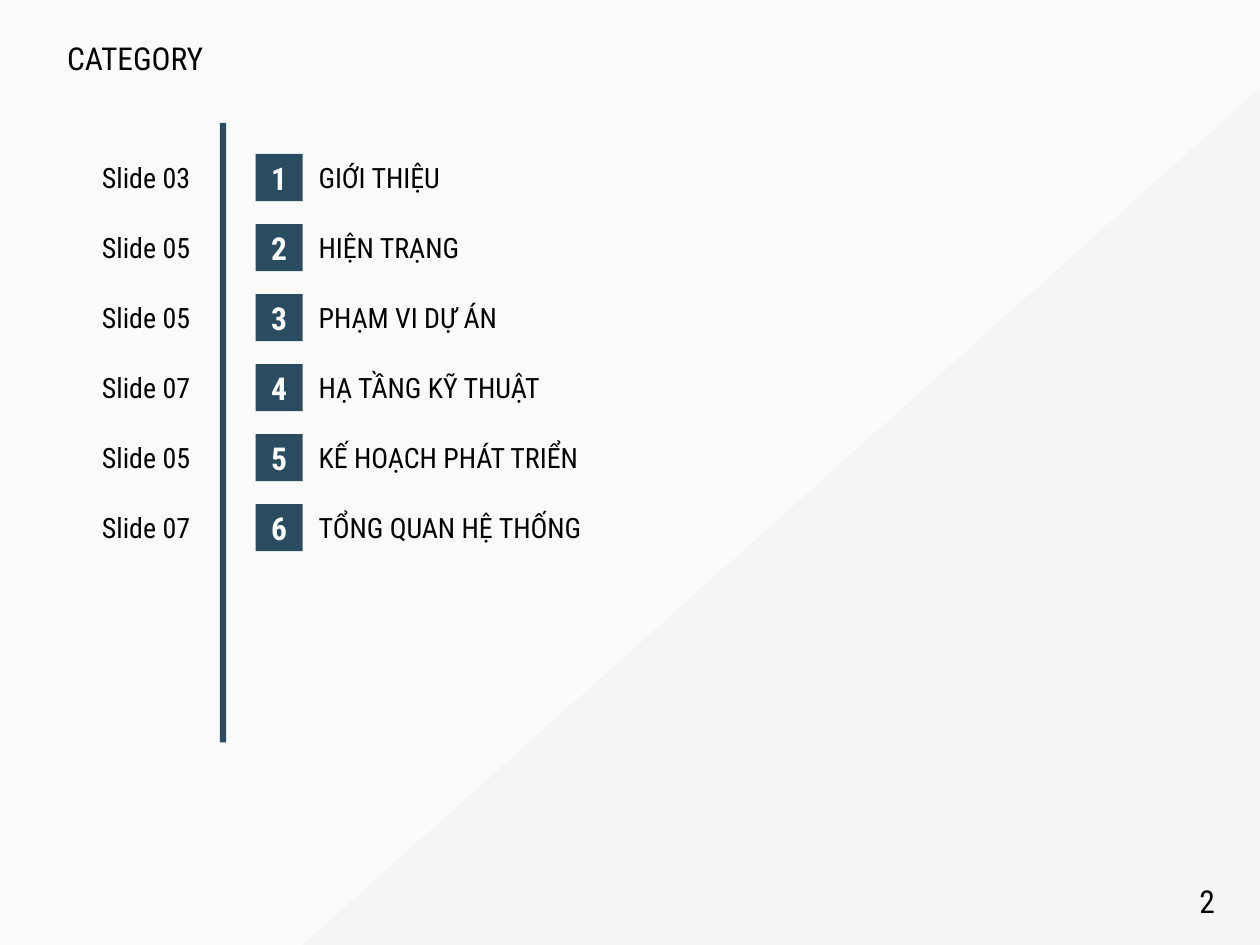
from pptx import Presentation
from pptx.dml.color import RGBColor
from pptx.enum.shapes import MSO_SHAPE as Shape
from pptx.enum.text import MSO_ANCHOR as Anchor, MSO_AUTO_SIZE as AutoSize, PP_ALIGN as Align
from pptx.util import Pt

NAVY = "2A4C61"
ROW_TOP, ROW_PITCH = 88, 40
ROWS = [  # page, topic, width of the topic's text box
    ("Slide 03", "GIỚI THIỆU", 85),
    ("Slide 05", "HIỆN TRẠNG", 96.5),
    ("Slide 05", "PHẠM VI DỰ ÁN", 117.4),
    ("Slide 07", "HẠ TẦNG KỸ THUẬT", 144.7),
    ("Slide 05", "KẾ HOẠCH PHÁT TRIỂN", 166.3),
    ("Slide 07", "TỔNG QUAN HỆ THỐNG", 167),
]


def add_block(shapes, preset, left, top, width, height, color):
    """Add a preset shape with a plain fill, no outline and no shadow."""
    block = shapes.add_shape(preset, Pt(left), Pt(top), Pt(width), Pt(height))
    block.shadow.inherit = False
    block.fill.solid()
    block.fill.fore_color.rgb = RGBColor.from_string(color)
    block.line.fill.background()
    return block


def write(shape, text, size, color="000000", align=Align.LEFT, anchor=Anchor.MIDDLE, wrap=True):
    frame = shape.text_frame
    frame.word_wrap = wrap
    frame.vertical_anchor = anchor
    paragraph = frame.paragraphs[0]
    paragraph.text = text
    paragraph.alignment = align
    paragraph.font.name = "Roboto Condensed"
    paragraph.font.size = Pt(size)
    paragraph.font.color.rgb = RGBColor.from_string(color)
    return paragraph


presentation = Presentation()
presentation.slide_width, presentation.slide_height = Pt(720), Pt(540)
slide = presentation.slides.add_slide(presentation.slide_layouts[6])
slide.background.fill.solid()
slide.background.fill.fore_color.rgb = RGBColor.from_string("FBFBFB")

corner = add_block(slide.shapes, Shape.ISOSCELES_TRIANGLE, 173, 50.4, 547, 489.6, "F5F5F5")
corner.adjustments[0] = 1

title = slide.shapes.add_textbox(Pt(31.2), Pt(22), Pt(658), Pt(25.2))
write(title, "CATEGORY", 18).line_spacing = 0.9

add_block(slide.shapes, Shape.RECTANGLE, 125.7, 70.3, 3.5, 354, NAVY)

page_number = slide.shapes.add_textbox(Pt(539.3), Pt(500.4), Pt(162), Pt(28.8))
write(page_number, "2", 18, align=Align.RIGHT)

for index, (page, topic, topic_width) in enumerate(ROWS):
    top = ROW_TOP + index * ROW_PITCH
    row = slide.shapes.add_group_shape().shapes
    for text, left, width in ((page, 51.2, 65.5), (topic, 175, topic_width)):
        label = row.add_textbox(Pt(left), Pt(top + 0.4), Pt(width), Pt(26.6))
        write(label, text, 16, anchor=Anchor.TOP, wrap=False)
        label.text_frame.auto_size = AutoSize.SHAPE_TO_FIT_TEXT
    badge = add_block(row, Shape.RECTANGLE, 146, top, 27, 27, NAVY)
    write(badge, str(index + 1), 18, "FFFFFF", Align.CENTER).font.bold = True

presentation.save("out.pptx")
